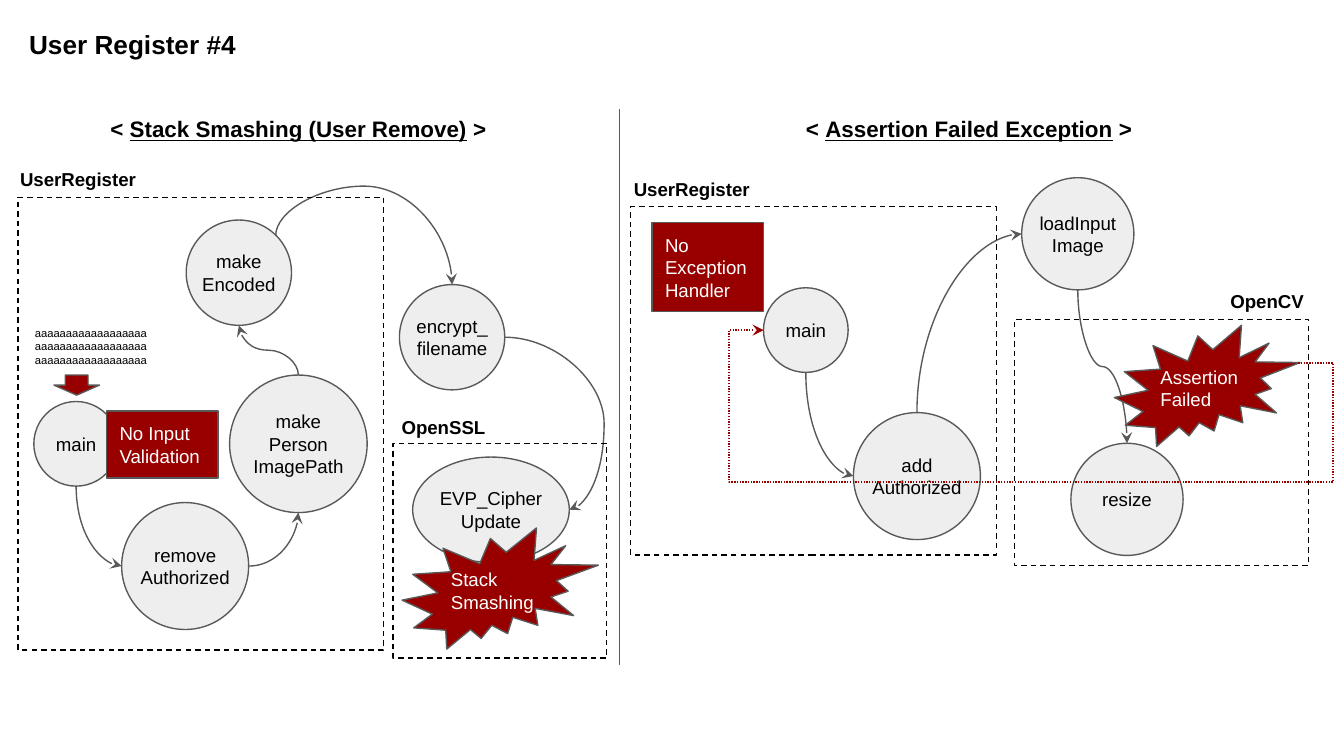
import lxml.etree
import pptx
import pptx.dml.color
import pptx.enum.dml
import pptx.enum.shapes
import pptx.enum.text
import pptx.oxml.ns
import pptx.util

Cm = pptx.util.Cm
Pt = pptx.util.Pt
qn = pptx.oxml.ns.qn
SHAPE = pptx.enum.shapes.MSO_SHAPE
CONNECTOR = pptx.enum.shapes.MSO_CONNECTOR
DASH = pptx.enum.dml.MSO_LINE
ALIGN = pptx.enum.text.PP_ALIGN
ANCHOR = pptx.enum.text.MSO_ANCHOR

BLACK, WHITE, GREY, PALE, RED = "000000", "FFFFFF", "595959", "EEEEEE", "980000"

# Places on a shape's outline, as shares of its width and height
SITES = {"top": (0.5, 0), "left": (0, 0.5), "bottom": (0.5, 1), "right": (1, 0.5),
         "corner": (0.85, 0.15), "tip": (0.99, 0.31)}


def color(value):
    return pptx.dml.color.RGBColor.from_string(value)


class Diagram:
    font = "Arial"
    width = Pt(0.75)
    inset = Cm(0.25)

    def __init__(self, page):
        self.page = page

    def set_text(self, box, lines, size=10, ink=BLACK, bold=False, align=ALIGN.LEFT,
                 anchor=ANCHOR.TOP, inset=inset):
        """Each line is a list of (text, underlined) spans, or a plain string."""
        frame = box.text_frame
        frame.word_wrap = True
        frame.auto_size = pptx.enum.text.MSO_AUTO_SIZE.NONE
        frame.vertical_anchor = anchor
        frame.margin_left = frame.margin_right = inset
        frame.margin_top = frame.margin_bottom = inset
        for index, line in enumerate(lines):
            para = frame.add_paragraph() if index else frame.paragraphs[0]
            para.alignment = align
            para.space_before = Pt(0)
            for text, underlined in [(line, False)] if isinstance(line, str) else line:
                span = para.add_run()
                span.text = text
                span.font.name = self.font
                span.font.size = Pt(size)
                span.font.bold = bold
                span.font.underline = underlined
                span.font.color.rgb = color(ink)

    def title(self, text, left, top, width, height):
        box = self.page.shapes.title
        box.left, box.top, box.width, box.height = map(Cm, (left, top, width, height))
        self.set_text(box, [text], size=14, bold=True)

    def label(self, lines, left, top, width, height=0.94, **style):
        box = self.page.shapes.add_textbox(*map(Cm, (left, top, width, height)))
        self.set_text(box, lines, **style)

    def stroke(self, line, ink, dash=None):
        line.color.rgb = color(ink)
        line.width = self.width
        if dash:
            line.dash_style = dash

    def shape(self, kind, left, top, width, height, fill=None, ink=GREY, dash=None):
        box = self.page.shapes.add_shape(kind, *map(Cm, (left, top, width, height)))
        box.shadow.inherit = False
        if fill:
            box.fill.solid()
            box.fill.fore_color.rgb = color(fill)
        else:
            box.fill.background()
        self.stroke(box.line, ink, dash)
        return box

    def node(self, lines, left, top, width, height=None):
        box = self.shape(SHAPE.OVAL, left, top, width, height or width, PALE)
        self.set_text(box, lines, align=ALIGN.CENTER, anchor=ANCHOR.MIDDLE, inset=0)
        return box

    def warning(self, kind, lines, left, top, width, height, inset=inset):
        box = self.shape(kind, left, top, width, height, RED)
        self.set_text(box, lines, ink=WHITE, anchor=ANCHOR.MIDDLE, inset=inset)
        return box

    def frame(self, left, top, width, height):
        self.shape(SHAPE.RECTANGLE, left, top, width, height, ink=BLACK, dash=DASH.DASH)

    def line(self, x1, y1, x2, y2, kind=CONNECTOR.STRAIGHT, ink=GREY, dash=None):
        connector = self.page.shapes.add_connector(kind, x1, y1, x2, y2)
        self.stroke(connector.line, ink, dash)
        lxml.etree.SubElement(connector.element.spPr, qn("a:effectLst"))
        return connector

    def arrow(self, start, start_site, end, end_site, bends=(), kind="curvedConnector2",
              ink=GREY, dash=None):
        """Link two outlines; the preset geometry is turned to leave the start side."""
        (x1, y1), (x2, y2) = [
            (box.left + round(box.width * SITES[site][0]),
             box.top + round(box.height * SITES[site][1]))
            for box, site in ((start, start_site), (end, end_site))]
        right, down = x2 > x1, y2 > y1
        width, height = abs(x2 - x1), abs(y2 - y1)
        if start_site in ("left", "right", "tip"):
            turn, flip = (0 if down else 180), right != down
        else:
            turn, flip = (270 if right else 90), right == down
            width, height = height, width
        left, top = (x1 + x2 - width) // 2, (y1 + y2 - height) // 2
        connector = self.line(left, top, left + width, top + height,
                              CONNECTOR.CURVE, ink, dash)
        properties = connector.element.spPr
        lxml.etree.SubElement(properties.find(qn("a:ln")), qn("a:tailEnd"), type="stealth")
        transform = properties.find(qn("a:xfrm"))
        transform.set("rot", str(turn * 60000))
        transform.set("flipH", str(int(flip)))
        geometry = properties.find(qn("a:prstGeom"))
        geometry.set("prst", kind)
        for number, bend in enumerate(bends, 1):
            lxml.etree.SubElement(geometry.find(qn("a:avLst")), qn("a:gd"),
                                  name=f"adj{number}", fmla=f"val {round(bend * 100000)}")


deck = pptx.Presentation()
deck.slide_width, deck.slide_height = Cm(25.4), Cm(14.29)
diagram = Diagram(deck.slides.add_slide(deck.slide_layouts[5]))

# Title, headings and divider
diagram.title("User Register #4", 0.3, 0.28, 16.21, 1.12)
for heading, left, width in (("Stack Smashing (User Remove)", 1.78, 7.72),
                             ("Assertion Failed Exception", 14.63, 7.37)):
    diagram.label([[("< ", False), (heading, True), (" >", False)]], left, 1.93, width,
                  1.02, size=12, bold=True, align=ALIGN.CENTER)
diagram.line(Cm(11.71), Cm(2.06), Cm(11.71), Cm(12.57))

# Call graph on the right
load = diagram.node(["loadInput", "Image"], 19.31, 3.36, 2.12)
resize = diagram.node(["resize"], 20.24, 8.38, 2.12)
caller = diagram.node(["main"], 14.43, 5.44, 1.6)
add = diagram.node(["add", "Authorized"], 16.13, 7.8, 2.4)
diagram.arrow(load, "bottom", resize, "top", [0.5], "curvedConnector3")
diagram.arrow(caller, "bottom", add, "left")
diagram.arrow(add, "top", load, "left")
failure = diagram.warning(SHAPE.EXPLOSION2, ["Assertion Failed"],
                          21.06, 6.15, 3.51, 2.29, inset=0)
diagram.arrow(failure, "tip", caller, "left", [-0.065, -3.63, 1.065],
              "bentConnector5", RED, DASH.ROUND_DOT)
diagram.warning(SHAPE.RECTANGLE, ["No Exception", "Handler"], 12.32, 4.21, 2.11, 1.68)

# Call graph on the left
person = diagram.node(["make", "Person", "ImagePath"], 4.34, 7.09, 2.6)
start = diagram.node(["main"], 0.64, 7.59, 1.6)
remove = diagram.node(["remove", "Authorized"], 2.3, 9.5, 2.4)
encoded = diagram.node(["make", "Encoded"], 3.52, 4.16, 1.99)
encrypt = diagram.node(["encrypt_filename"], 7.55, 5.38, 1.99)
cipher = diagram.node(["EVP_CipherUpdate"], 7.8, 8.64, 2.96, 1.99)
diagram.arrow(start, "bottom", remove, "left")
diagram.arrow(remove, "right", person, "bottom")
diagram.arrow(person, "top", encoded, "bottom", [0.5], "curvedConnector3")
diagram.arrow(encoded, "corner", encrypt, "top", [-1.02], "curvedConnector3")
diagram.arrow(encrypt, "right", cipher, "right", [1.54], "curvedConnector3")
diagram.warning(SHAPE.EXPLOSION2, ["Stack", "Smashing"], 7.6, 9.98, 3.71, 2.29, inset=0)
diagram.warning(SHAPE.RECTANGLE, ["No Input", "Validation"], 2.01, 7.77, 2.11, 1.27)

# Overlong input
diagram.label(["a" * 54], 0.41, 5.99, 2.69, 1.12, size=6, anchor=ANCHOR.MIDDLE)
diagram.shape(SHAPE.DOWN_ARROW, 1.02, 7.09, 0.86, 0.38, RED)

# Module frames and their names
diagram.frame(11.92, 3.91, 6.91, 6.58)
diagram.frame(19.17, 6.04, 5.56, 4.65)
diagram.frame(0.34, 3.73, 6.91, 8.56)
diagram.frame(7.43, 8.38, 4.04, 4.06)
for name, left, top, width, align in (("UserRegister", 11.73, 3.12, 3.71, ALIGN.LEFT),
                                      ("OpenCV", 22.3, 5.23, 2.59, ALIGN.RIGHT),
                                      ("UserRegister", 0.13, 2.92, 3.71, ALIGN.LEFT),
                                      ("OpenSSL", 7.34, 7.62, 2.11, ALIGN.LEFT)):
    diagram.label([name], left, top, width, bold=True, align=align)

deck.save("out.pptx")
